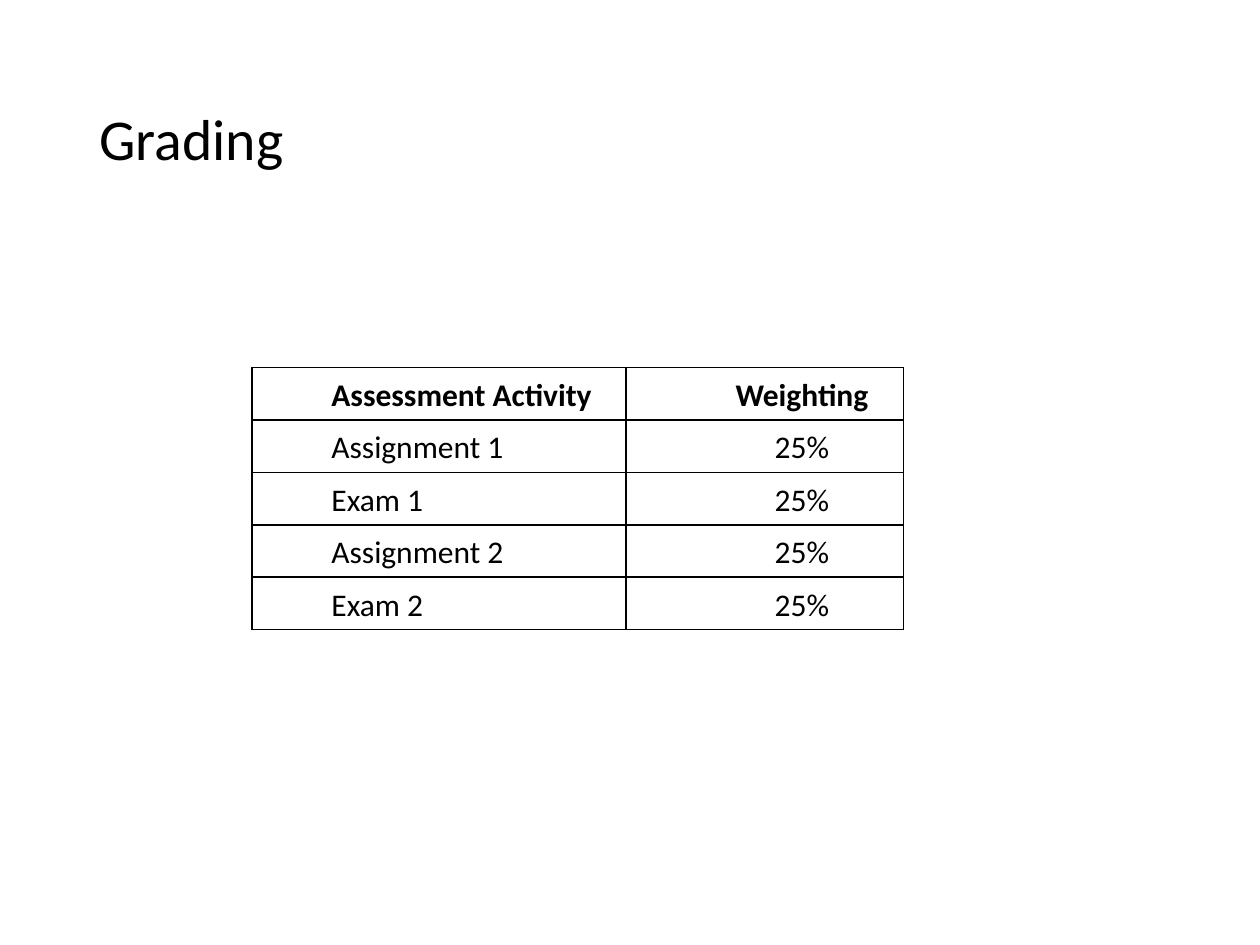
from lxml import etree
from pptx import Presentation
from pptx.dml.color import RGBColor
from pptx.enum import text as t
from pptx.oxml import ns
from pptx.util import Pt

BLACK = RGBColor(0x00, 0x00, 0x00)
WHITE = RGBColor(0xFF, 0xFF, 0xFF)
FONT = "Calibri"

INDENT = Pt(42.5)
CELL_MARGIN = Pt(2.9)
ROW_HEIGHT = Pt(29.8)
COLUMN_WIDTHS = [Pt(213.8), Pt(158.4)]
ALIGNMENTS = [t.PP_ALIGN.LEFT, t.PP_ALIGN.CENTER]
GRADING = [
    ("Assessment Activity", "Weighting"),
    ("Assignment 1", "25%"),
    ("Exam 1", "25%"),
    ("Assignment 2", "25%"),
    ("Exam 2", "25%"),
]


def write_text(frame, content, size, bold=False, align=t.PP_ALIGN.LEFT,
               spacing=1.0, indent=None):
    """Fill a text frame with one formatted paragraph."""
    paragraph = frame.paragraphs[0]
    paragraph.alignment = align
    paragraph.line_spacing = spacing
    if indent is not None:
        properties = paragraph._p.get_or_add_pPr()
        properties.set("marL", str(indent))
        properties.set("indent", "0")
        tabs = etree.SubElement(properties, ns.qn("a:tabLst"))
        etree.SubElement(tabs, ns.qn("a:tab"), pos=str(indent), algn="l")
    run = paragraph.add_run()
    run.text = content
    run.font.name = FONT
    run.font.size = size
    run.font.bold = bold
    run.font.color.rgb = BLACK


def add_borders(cell):
    """Draw a thin black line on all four sides of a cell."""
    properties = cell._tc.get_or_add_tcPr()
    for position, side in enumerate(("a:lnL", "a:lnR", "a:lnT", "a:lnB")):
        line = etree.Element(ns.qn(side), w=str(Pt(1)))
        fill = etree.SubElement(line, ns.qn("a:solidFill"))
        etree.SubElement(fill, ns.qn("a:srgbClr"), val=str(BLACK))
        properties.insert(position, line)


def add_title(slide, content):
    title = slide.shapes.title
    title.left, title.top = Pt(49.5), Pt(28.8)
    title.width, title.height = Pt(621), Pt(104.4)
    title.text_frame.vertical_anchor = t.MSO_ANCHOR.MIDDLE
    write_text(title.text_frame, content, Pt(33), spacing=0.9)


def add_grading_table(slide):
    table = slide.shapes.add_table(
        len(GRADING), len(COLUMN_WIDTHS), Pt(144), Pt(210),
        sum(COLUMN_WIDTHS), ROW_HEIGHT * len(GRADING)).table
    for column, width in zip(table.columns, COLUMN_WIDTHS):
        column.width = width
    for row, values in enumerate(GRADING):
        table.rows[row].height = ROW_HEIGHT
        for column, value in enumerate(values):
            cell = table.cell(row, column)
            cell.margin_left = cell.margin_right = CELL_MARGIN
            cell.margin_top = cell.margin_bottom = CELL_MARGIN
            cell.fill.background()
            add_borders(cell)
            write_text(cell.text_frame, value, Pt(18), bold=row == 0,
                       align=ALIGNMENTS[column], spacing=1.1, indent=INDENT)


def main():
    presentation = Presentation()
    presentation.slide_width, presentation.slide_height = Pt(720), Pt(540)
    slide = presentation.slides.add_slide(presentation.slide_layouts[5])

    # Background
    slide.background.fill.solid()
    slide.background.fill.fore_color.rgb = WHITE

    # Title and table
    add_title(slide, "Grading")
    add_grading_table(slide)
    presentation.save("out.pptx")


if __name__ == "__main__":
    main()
